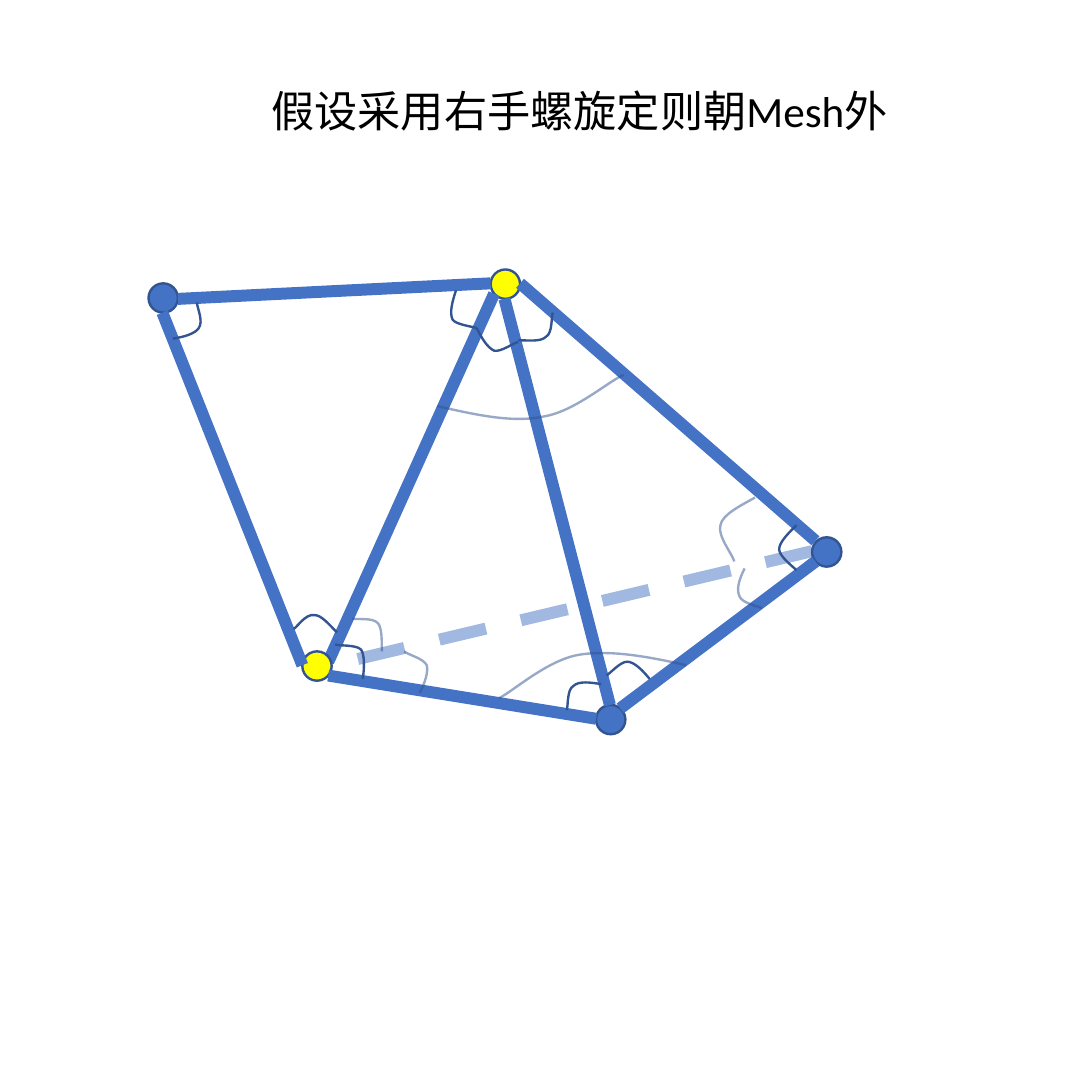
from lxml.etree import SubElement
from pptx import Presentation
from pptx.dml.color import RGBColor
from pptx.enum.dml import MSO_LINE
from pptx.enum.shapes import MSO_CONNECTOR, MSO_SHAPE
from pptx.enum.text import MSO_ANCHOR, MSO_AUTO_SIZE, PP_ALIGN
from pptx.oxml.ns import qn
from pptx.util import Inches, Pt

BLUE, DARK_BLUE, YELLOW, BLACK = "4472C4", "325491", "FFFF00", "000000"
NODE_SIZE = 0.17


def color(hex_value):
    return RGBColor.from_string(hex_value)


def set_values(target, values):
    for name, value in values.items():
        setattr(target, name, value)


class MeshSlide:
    """Draws the elements of the mesh on one slide in a common style."""

    def __init__(self, presentation):
        self.slide = presentation.slides.add_slide(presentation.slide_layouts[5])
        self.shapes = self.slide.shapes

    def title(self, text, left, top, width, height):
        title = self.shapes.title
        set_values(title, {"left": Inches(left), "top": Inches(top),
                           "width": Inches(width), "height": Inches(height)})
        frame = title.text_frame
        frame.text = text
        set_values(frame, {"margin_left": 0, "margin_top": 0,
                           "margin_right": 0, "margin_bottom": 0,
                           "word_wrap": True,
                           "vertical_anchor": MSO_ANCHOR.TOP,
                           "auto_size": MSO_AUTO_SIZE.SHAPE_TO_FIT_TEXT})
        paragraph = frame.paragraphs[0]
        paragraph.alignment = PP_ALIGN.LEFT
        font = paragraph.runs[0].font
        set_values(font, {"name": "Calibri", "size": Pt(18)})
        font.color.rgb = color(BLACK)

    def outline(self, shape, hex_value, width, faint=False):
        shape.line.color.rgb = color(hex_value)
        shape.line.width = Pt(width)
        if faint:
            line_color = next(shape.line._ln.iter(qn("a:srgbClr")))
            SubElement(line_color, qn("a:alpha"), val="50000")

    def node(self, left, top, fill=BLUE):
        shape = self.shapes.add_shape(
            MSO_SHAPE.OVAL, Inches(left), Inches(top),
            Inches(NODE_SIZE), Inches(NODE_SIZE))
        shape.shadow.inherit = False
        shape.fill.solid()
        shape.fill.fore_color.rgb = color(fill)
        self.outline(shape, DARK_BLUE, 1)

    def edge(self, *ends, hidden=False):
        connector = self.shapes.add_connector(
            MSO_CONNECTOR.STRAIGHT, *[Inches(value) for value in ends])
        self.outline(connector, BLUE, 5, faint=hidden)
        if hidden:
            connector.line.dash_style = MSO_LINE.DASH
        SubElement(connector.element.spPr, qn("a:effectLst"))

    def angle_arc(self, points, faint=False):
        """Draw Bezier segments: a start, then two controls and an end for each."""
        start, *others = [(Inches(x), Inches(y)) for x, y in points]
        builder = self.shapes.build_freeform(*start)
        builder.add_line_segments(others, close=False)
        arc = builder.convert_to_shape()
        segments = list(arc.element.iter(qn("a:lnTo")))
        for first in range(0, len(segments), 3):
            curve, *rest = segments[first:first + 3]
            curve.tag = qn("a:cubicBezTo")
            for segment in rest:
                curve.append(segment[0])
                segment.getparent().remove(segment)
        arc.shadow.inherit = False
        arc.fill.background()
        self.outline(arc, DARK_BLUE, 1, faint)


NODES = [(1.75, 3.77, YELLOW), (3.45, 4.08), (4.7, 3.11), (0.86, 1.64)]

EDGES = [
    (3.45, 4.16, 1.9, 3.91),
    (4.72, 3.25, 3.59, 4.1),
    (4.72, 3.13, 3.01, 1.64),
    (2.92, 1.73, 3.53, 4.08),
    (1.75, 3.85, 0.94, 1.81),
    (2.84, 1.64, 1.03, 1.73),
]

FACE_ARCS = [
    [(2.76, 1.9), (2.79, 1.96), (2.82, 2.01), (2.86, 2.03), (2.9, 2.04), (2.98, 1.98), (3, 1.98)],
    [(2.1, 3.93), (2.11, 3.86), (2.11, 3.79), (2.09, 3.76), (2.06, 3.73), (1.96, 3.74), (1.94, 3.73)],
    [(3.48, 3.96), (3.42, 3.95), (3.35, 3.94), (3.32, 3.97), (3.28, 3.99), (3.29, 4.09), (3.28, 4.11)],
    [(4.61, 3.04), (4.56, 3.09), (4.51, 3.14), (4.51, 3.18), (4.51, 3.22), (4.59, 3.28), (4.61, 3.3)],
    [(3.76, 3.93), (3.72, 3.88), (3.67, 3.83), (3.63, 3.83), (3.59, 3.83), (3.53, 3.9), (3.51, 3.91)],
    [(2.64, 1.68), (2.62, 1.74), (2.6, 1.81), (2.62, 1.85), (2.64, 1.88), (2.74, 1.89), (2.76, 1.9)],
    [(1.95, 3.66), (1.9, 3.61), (1.86, 3.56), (1.82, 3.56), (1.77, 3.55), (1.72, 3.63), (1.7, 3.64)],
    [(1, 1.96), (1.07, 1.95), (1.13, 1.93), (1.15, 1.9), (1.18, 1.86), (1.14, 1.78), (1.14, 1.75)],
    [(3, 1.97), (3.06, 1.97), (3.13, 1.98), (3.16, 1.95), (3.2, 1.93), (3.19, 1.83), (3.2, 1.81)],
]

HIDDEN_FACE_ARCS = [
    [(2.43, 4.01), (2.46, 3.95), (2.48, 3.89), (2.47, 3.85), (2.45, 3.81), (2.36, 3.79), (2.34, 3.77)],
    [(2.21, 3.77), (2.21, 3.7), (2.21, 3.64), (2.19, 3.61), (2.16, 3.57), (2.06, 3.59), (2.04, 3.58)],
    [(4.31, 3.29), (4.28, 3.35), (4.26, 3.41), (4.28, 3.45), (4.29, 3.49), (4.39, 3.51), (4.41, 3.52)],
    [(4.37, 2.88), (4.28, 2.93), (4.18, 2.98), (4.17, 3.04), (4.15, 3.1), (4.24, 3.21), (4.25, 3.25)],
    [(3.97, 3.85), (3.75, 3.8), (3.53, 3.76), (3.35, 3.79), (3.17, 3.82), (2.97, 4), (2.89, 4.04)],
    [(2.53, 2.35), (2.75, 2.4), (2.97, 2.45), (3.15, 2.41), (3.33, 2.38), (3.53, 2.2), (3.61, 2.17)],
]


def main():
    presentation = Presentation()
    set_values(presentation, {"slide_width": Inches(6.32),
                              "slide_height": Inches(6.32)})
    mesh = MeshSlide(presentation)
    mesh.title("假设采用右手螺旋定则朝Mesh外", 1.57, 0.49, 3.6, 0.3)
    mesh.edge(4.7, 3.19, 1.92, 3.85, hidden=True)
    mesh.node(2.84, 1.56, YELLOW)
    mesh.edge(2.86, 1.7, 1.9, 3.83)
    for node in NODES:
        mesh.node(*node)
    for edge in EDGES:
        mesh.edge(*edge)
    for arc in FACE_ARCS:
        mesh.angle_arc(arc)
    for arc in HIDDEN_FACE_ARCS:
        mesh.angle_arc(arc, faint=True)
    presentation.save("out.pptx")


if __name__ == "__main__":
    main()
